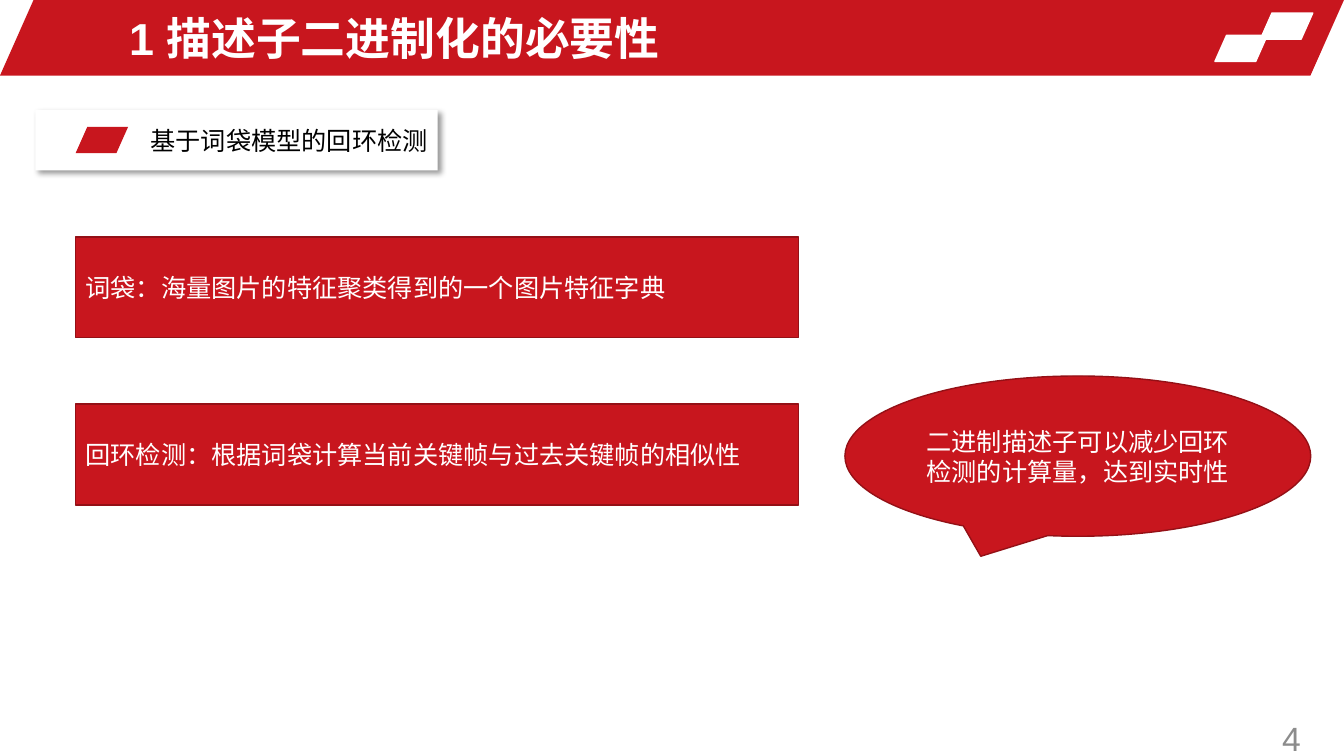
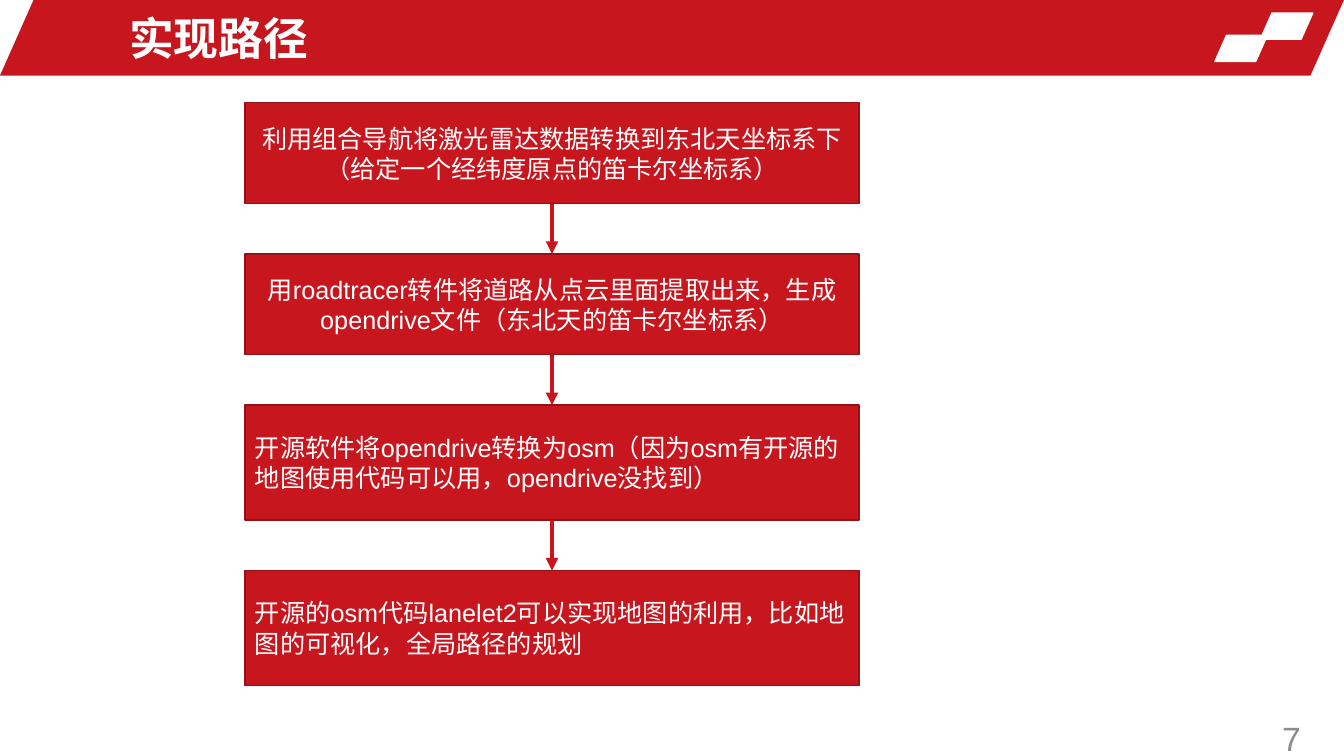
from lxml import etree
from pptx import Presentation
from pptx.dml.color import RGBColor
from pptx.enum.lang import MSO_LANGUAGE_ID
from pptx.enum.shapes import MSO_CONNECTOR, MSO_SHAPE
from pptx.enum.text import MSO_ANCHOR, MSO_AUTO_SIZE, PP_ALIGN
from pptx.oxml.ns import qn
from pptx.util import Inches, Pt

RECT = MSO_SHAPE.RECTANGLE
SLANT = MSO_SHAPE.PARALLELOGRAM
CALLOUT = MSO_SHAPE.OVAL_CALLOUT
STRAIGHT = MSO_CONNECTOR.STRAIGHT
LEFT, CENTER, RIGHT = PP_ALIGN.LEFT, PP_ALIGN.CENTER, PP_ALIGN.RIGHT
MIDDLE = MSO_ANCHOR.MIDDLE
NO_FIT = MSO_AUTO_SIZE.NONE
CHINESE = MSO_LANGUAGE_ID.SIMPLIFIED_CHINESE

FONT = "Arial"
COLORS = {"red": "C8161E", "edge": "941016", "white": "FFFFFF",
          "black": "000000", "gray": "8C8C8C"}
WIDTH, HEIGHT = 13.33, 7.5
MARK = (0.52, 0.26)


def color(name):
    return RGBColor.from_string(COLORS[name])


def write(shape, text, size, tint, align=LEFT, bold=False):
    frame = shape.text_frame
    frame.word_wrap = True
    frame.auto_size = NO_FIT
    frame.vertical_anchor = MIDDLE
    para = frame.paragraphs[0]
    para.alignment = align
    run = para.add_run()
    run.text = text
    font = run.font
    font.name, font.size, font.bold = FONT, Pt(size), bold
    font.language_id = CHINESE
    font.color.rgb = color(tint)


def block(slide, kind, box, fill, line=None):
    shape = slide.shapes.add_shape(kind, *map(Inches, box))
    shape.shadow.inherit = False
    shape.fill.solid()
    shape.fill.fore_color.rgb = color(fill)
    if line:
        shape.line.color.rgb = color(line)
        shape.line.width = Pt(1)
    else:
        shape.line.fill.background()
    if kind == SLANT:
        shape.adjustments[0] = 0.444
    return shape


def panel(slide, kind, box, text, align=LEFT):
    shape = block(slide, kind, box, "red", "edge")
    write(shape, text, 18, "white", align)
    return shape


def add_band(slide, layout, box):
    left, top, width, height = box
    parts = [block(slide, SLANT, box, "red")]
    for inset, drop in ((0.83, 0.13), (1.28, 0.35)):
        place = (left + width - inset, top + drop, *MARK)
        parts.append(block(slide, SLANT, place, "white", "white"))
    tree = layout.shapes.element
    for i, part in enumerate(parts):
        part.element.nvSpPr.cNvPr.set("id", str(90 + i))
        tree.insert(2 + i, part.element)


def add_title(slide, text, box):
    title = slide.shapes.title
    title.left, title.top, title.width, title.height = map(Inches, box)
    write(title, text, 32, "white", bold=True)


def add_page(slide, number, box):
    page = slide.shapes.add_textbox(*map(Inches, box))
    write(page, str(number), 24, "gray", RIGHT)


def new_slide(deck, layout, title, number):
    slide = deck.slides.add_slide(layout)
    add_title(slide, title, (1.18, 0.05, 7.74, 0.65))
    add_page(slide, number, (11.87, 7.13, 1.13, 0.38))
    return slide


def add_shade(shape):
    effects = shape.element.spPr.find(qn("a:effectLst"))
    shade = etree.SubElement(effects, qn("a:outerShdw"), blurRad=str(Pt(4)),
                             dist=str(Pt(3)), dir="2700000", algn="tl")
    tint = etree.SubElement(shade, qn("a:srgbClr"), val=COLORS["black"])
    etree.SubElement(tint, qn("a:alpha"), val="40000")


def add_label(slide, text, box):
    left, top, _, height = box
    card = block(slide, RECT, box, "white")
    add_shade(card)
    write(card, text, 18, "black", RIGHT)
    middle = top + (height - MARK[1]) / 2
    block(slide, SLANT, (left + 0.4, middle, *MARK), "red")


def add_terms(slide, terms, box, pitch):
    left, top, width, height = box
    for i, text in enumerate(terms):
        panel(slide, RECT, (left, top + i * pitch, width, height), text)


def add_arrow(slide, start, end):
    arrow = slide.shapes.add_connector(STRAIGHT, 0, 0, 0, 0)
    arrow.begin_connect(start, 2)
    arrow.end_connect(end, 0)
    arrow.line.color.rgb = color("red")
    arrow.line.width = Pt(3)
    props = arrow.element.spPr
    etree.SubElement(props.find(qn("a:ln")), qn("a:tailEnd"), type="triangle")
    etree.SubElement(props, qn("a:effectLst"))


def add_flow(slide, steps, left, top, width, gap):
    last = None
    for text, height, align in steps:
        step = panel(slide, RECT, (left, top, width, height), text, align)
        if last is not None:
            add_arrow(slide, last, step)
        last = step
        top += height + gap


def need_slide(deck, layout):
    slide = new_slide(deck, layout, "1 描述子二进制化的必要性", 4)
    add_label(slide, "基于词袋模型的回环检测", (0.35, 1.09, 3.99, 0.6))
    terms = ("词袋：海量图片的特征聚类得到的一个图片特征字典",
             "回环检测：根据词袋计算当前关键帧与过去关键帧的相似性")
    add_terms(slide, terms, (0.75, 2.35, 7.17, 1), 1.66)
    panel(slide, CALLOUT, (8.38, 3.73, 4.62, 1.59),
          "二进制描述子可以减少回环检测的计算量，达到实时性", CENTER)
    return slide


def path_slide(deck, layout):
    slide = new_slide(deck, layout, "实现路径", 7)
    steps = (
        ("利用组合导航将激光雷达数据转换到东北天坐标系下"
         "（给定一个经纬度原点的笛卡尔坐标系）", 1, CENTER),
        ("用roadtracer转件将道路从点云里面提取出来，"
         "生成opendrive文件（东北天的笛卡尔坐标系）", 1, CENTER),
        ("开源软件将opendrive转换为osm（因为osm有开源的地图"
         "使用代码可以用，opendrive没找到）", 1.14, LEFT),
        ("开源的osm代码lanelet2可以实现地图的利用，"
         "比如地图的可视化，全局路径的规划", 1.14, LEFT),
    )
    add_flow(slide, steps, 2.43, 1.02, 6.09, 0.5)


def main():
    deck = Presentation()
    deck.slide_width, deck.slide_height = Inches(WIDTH), Inches(HEIGHT)
    layout = deck.slide_layouts[5]
    first = need_slide(deck, layout)
    add_band(first, layout, (0, 0, WIDTH, 0.75))
    path_slide(deck, layout)
    deck.save("out.pptx")


if __name__ == "__main__":
    main()
